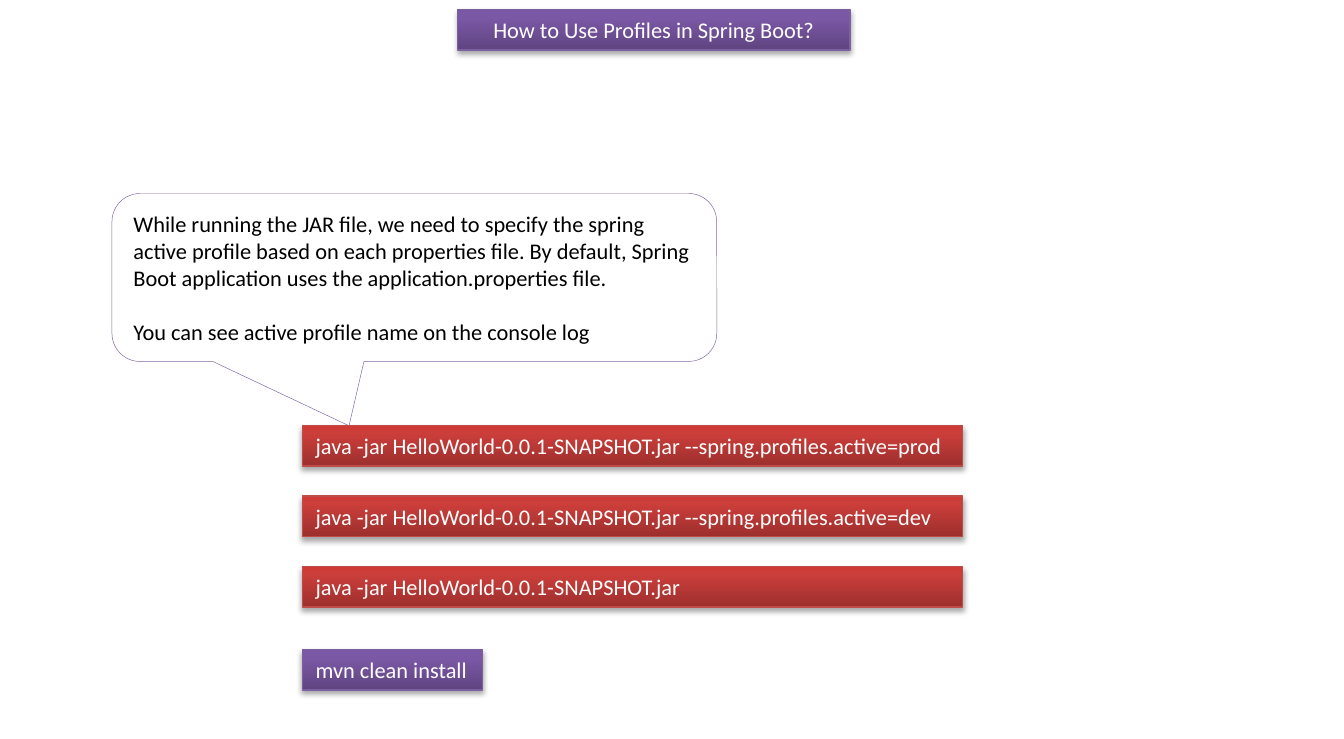
from copy import deepcopy
from pptx import Presentation
from pptx.dml.color import RGBColor
from pptx.enum.shapes import MSO_SHAPE
from pptx.enum.text import MSO_ANCHOR, MSO_AUTO_SIZE, PP_ALIGN
from pptx.oxml import parse_xml
from pptx.oxml.ns import nsdecls, qn
from pptx.util import Pt

WHITE = RGBColor(0xFF, 0xFF, 0xFF)
BLACK = RGBColor(0, 0, 0)
EDGE = RGBColor(0x80, 0x64, 0xA2)
RED = [RGBColor(0x9C, 0x2F, 0x2D), RGBColor(0xCB, 0x3E, 0x3A),
       RGBColor(0xCE, 0x3B, 0x37), RGBColor(0xBF, 0x4C, 0x48)]
PURPLE = [RGBColor(0x5F, 0x44, 0x80), RGBColor(0x7B, 0x58, 0xA6),
          RGBColor(0x7C, 0x57, 0xA8), RGBColor(0x7D, 0x60, 0xA0)]
SHADOW = (
    f'<a:outerShdw {nsdecls("a")} blurRad="{Pt(3.1)}" dist="{Pt(1.8)}" '
    'dir="5400000" rotWithShape="0"><a:srgbClr val="000000">'
    '<a:alpha val="35000"/></a:srgbClr></a:outerShdw>'
)


def write(shape, lines, color, align=PP_ALIGN.LEFT):
    frame = shape.text_frame
    frame.text = "\n".join(lines)
    for para in frame.paragraphs:
        para.alignment = align
        para.font.name = "Calibri"
        para.font.size = Pt(12)
        para.font.color.rgb = color
    return frame


def add_bar(text, left, top, width, tones, align=PP_ALIGN.LEFT, wrap=True):
    bar = slide.shapes.add_shape(
        MSO_SHAPE.RECTANGLE, Pt(left), Pt(top), Pt(width), Pt(21.8))
    bar.fill.gradient()
    bar.fill.gradient_angle = 90
    stops = bar.element.spPr.find(qn("a:gradFill")).find(qn("a:gsLst"))
    stops.append(deepcopy(stops[-1]))
    for stop, spot, tone in zip(bar.fill.gradient_stops, (0, 0.8, 1), tones):
        stop.position = spot
        stop.color.rgb = tone
    bar.line.color.rgb = tones[-1]
    bar.line.width = Pt(0.75)
    bar.shadow.inherit = False
    bar.element.spPr.find(qn("a:effectLst")).append(parse_xml(SHADOW))
    frame = write(bar, [text], WHITE, align)
    frame.vertical_anchor = MSO_ANCHOR.TOP
    frame.word_wrap = wrap
    frame.auto_size = MSO_AUTO_SIZE.SHAPE_TO_FIT_TEXT


deck = Presentation()
deck.slide_width, deck.slide_height = Pt(720), Pt(396)
slide = deck.slides.add_slide(deck.slide_layouts[6])

note = slide.shapes.add_shape(
    MSO_SHAPE.ROUNDED_RECTANGULAR_CALLOUT, Pt(60), Pt(103.7), Pt(324), Pt(90))
for i, value in enumerate((-0.108, 0.883, 0.167)):
    note.adjustments[i] = value
note.shadow.inherit = False
note.fill.solid()
note.fill.fore_color.rgb = WHITE
note.line.color.rgb = EDGE
note.line.width = Pt(0.25)
frame = write(note, [
    "While running the JAR file, we need to specify the spring active profile "
    "based on each properties file. By default, Spring Boot application uses "
    "the application.properties file.",
    "You can see active profile name on the console log",
], BLACK)
frame.vertical_anchor = MSO_ANCHOR.MIDDLE
frame.paragraphs[1].space_before = Pt(14.6)

add_bar("How to Use Profiles in Spring Boot?", 245.2, 5, 210.2, PURPLE,
        PP_ALIGN.CENTER)
for i, option in enumerate((" --spring.profiles.active=prod",
                            " --spring.profiles.active=dev", "")):
    add_bar("java -jar HelloWorld-0.0.1-SNAPSHOT.jar" + option,
            162, 228 + 37.8 * i, 353.7, RED)
add_bar("mvn clean install", 162, 348, 96.6, PURPLE, wrap=False)

deck.save("out.pptx")
